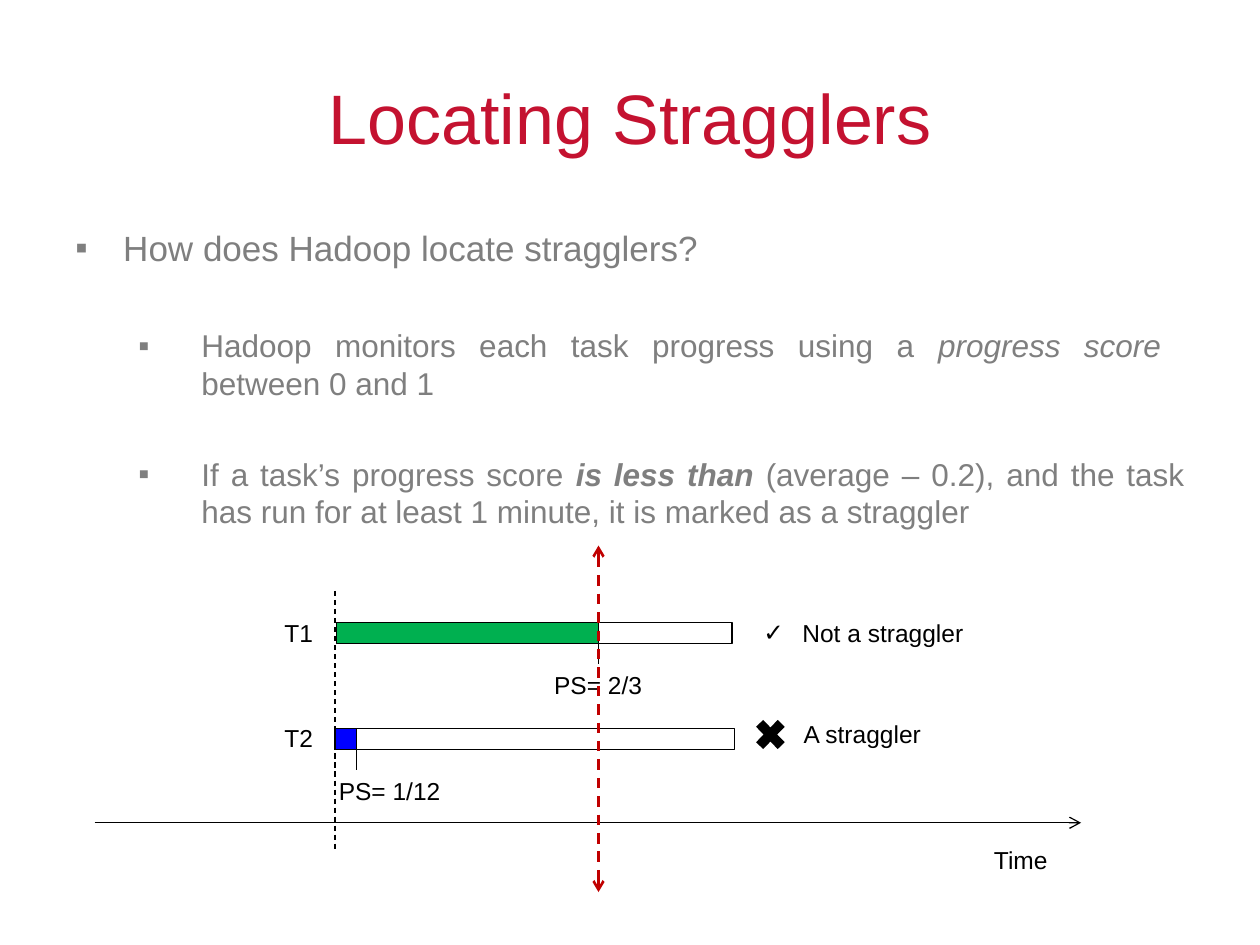
from lxml import etree
from pptx import Presentation
from pptx.dml.color import RGBColor
from pptx.enum import dml, shapes, text
from pptx.oxml import ns
from pptx.util import Inches, Pt

HUES = {"red": "C41230", "gray": "7F7F7F", "black": "000000", "white": "FFFFFF",
        "green": "00B050", "blue": "0000FF", "mark": "C00000"}
hue = {name: RGBColor.from_string(code) for name, code in HUES.items()}


def write(words, para, size=14, color="black", bold=False, italic=False,
          bullet=None, left=0, hang=0):
    if bullet:
        props = para._p.get_or_add_pPr()
        props.set("marL", str(Inches(left)))
        props.set("indent", str(-Inches(hang)))
        tint = etree.SubElement(props, ns.qn("a:buClr"))
        etree.SubElement(tint, ns.qn("a:srgbClr"), val=HUES[color])
        etree.SubElement(props, ns.qn("a:buFont"), typeface="Arial")
        etree.SubElement(props, ns.qn("a:buChar"), char=bullet)
    run = para.add_run()
    run.text = words
    font = run.font
    font.name, font.size, font.color.rgb = "Arial", Pt(size), hue[color]
    font.bold, font.italic = bold, italic


def rule(x1, y1, x2, y2, color="black", width=0.75, dash=False, ends=()):
    line = slide.shapes.add_connector(shapes.MSO_CONNECTOR.STRAIGHT, Inches(x1),
                                      Inches(y1), Inches(x2), Inches(y2))
    line.line.color.rgb = hue[color]
    line.line.width = Pt(width)
    if dash:
        line.line.dash_style = dml.MSO_LINE.DASH
    props = line._element.spPr
    for end in ends:
        etree.SubElement(props.find(ns.qn("a:ln")), ns.qn(end), type="arrow")
    etree.SubElement(props, ns.qn("a:effectLst"))


deck = Presentation()
deck.slide_width, deck.slide_height = Inches(10), Inches(7.5)
slide = deck.slides.add_slide(deck.slide_layouts[6])

title = slide.shapes.add_textbox(Inches(0.5), Inches(0.3), Inches(9), Inches(1.25))
frame = title.text_frame
frame.word_wrap = True
frame.vertical_anchor = text.MSO_ANCHOR.MIDDLE
frame.paragraphs[0].alignment = text.PP_ALIGN.CENTER
write("Locating Stragglers", frame.paragraphs[0], size=40, color="red")

body = slide.shapes.add_textbox(Inches(0.5), Inches(1.75), Inches(9), Inches(4.95))
frame = body.text_frame
frame.word_wrap = True
head, score, less = frame.paragraphs[0], frame.add_paragraph(), frame.add_paragraph()
for para, gap in ((head, 0), (score, 33), (less, 30)):
    para.alignment = text.PP_ALIGN.JUSTIFY
    para.space_before = Pt(gap)
score.level = less.level = 1
main = dict(size=20, color="gray", bullet="▪", left=0.38, hang=0.38)
sub = dict(size=18, color="gray")
mark = dict(bullet="▪", left=1, hang=0.5)
write("How does Hadoop locate stragglers?", head, **main)
write("Hadoop monitors each task progress using a ", score, **sub, **mark)
write("progress score ", score, italic=True, **sub)
score.add_line_break()
write("between 0 and 1", score, **sub)
write("If a task’s progress score ", less, **sub, **mark)
write("is less than", less, bold=True, italic=True, **sub)
write(" (average – 0.2), and the task has run for at least 1 minute, "
      "it is marked as a straggler", less, **sub)

for start, split, end, top, color in ((2.67, 4.75, 5.81, 4.94, "green"),
                                      (2.66, 2.83, 5.83, 5.78, "blue")):
    rule(split, top, split, top + 0.33)
    for left, right, fill in ((start, split, color), (split, end, "white")):
        bar = slide.shapes.add_shape(shapes.MSO_SHAPE.RECTANGLE, Inches(left),
                                     Inches(top), Inches(right - left), Inches(0.17))
        bar.shadow.inherit = False
        bar.fill.solid()
        bar.fill.fore_color.rgb = hue[fill]
        bar.line.color.rgb = hue["black"]
        bar.line.width = Pt(0.75)

tick = dict(bullet="✓", left=0.31, hang=0.31)
for words, left, top, width, style in (
        ("T1", 2.16, 4.86, 0.43, {}),
        ("T2", 2.16, 5.69, 0.43, {}),
        ("PS= 2/3", 4.3, 5.27, 0.9, {}),
        ("PS= 1/12", 2.59, 6.11, 1.01, {}),
        ("Not a straggler", 5.96, 4.86, 1.79, tick),
        ("A straggler", 6.28, 5.66, 1.14, {}),
        ("Time", 7.79, 6.66, 0.63, {})):
    label = slide.shapes.add_textbox(Inches(left), Inches(top), Inches(width), Inches(0.34))
    label.text_frame.word_wrap = False
    label.text_frame.auto_size = text.MSO_AUTO_SIZE.SHAPE_TO_FIT_TEXT
    write(words, label.text_frame.paragraphs[0], **style)

rule(0.75, 6.53, 8.58, 6.53, ends=["a:tailEnd"])
rule(2.66, 4.69, 2.66, 6.75, dash=True)
rule(4.75, 4.33, 4.75, 7.08, color="mark", width=1.5, dash=True,
     ends=["a:headEnd", "a:tailEnd"])

cross = slide.shapes.add_shape(shapes.MSO_SHAPE.MATH_MULTIPLY, Inches(5.95),
                               Inches(5.66), Inches(0.33), Inches(0.34))
cross.shadow.inherit = False
cross.fill.solid()
cross.fill.fore_color.rgb = hue["black"]
cross.line.fill.background()

deck.save("out.pptx")
